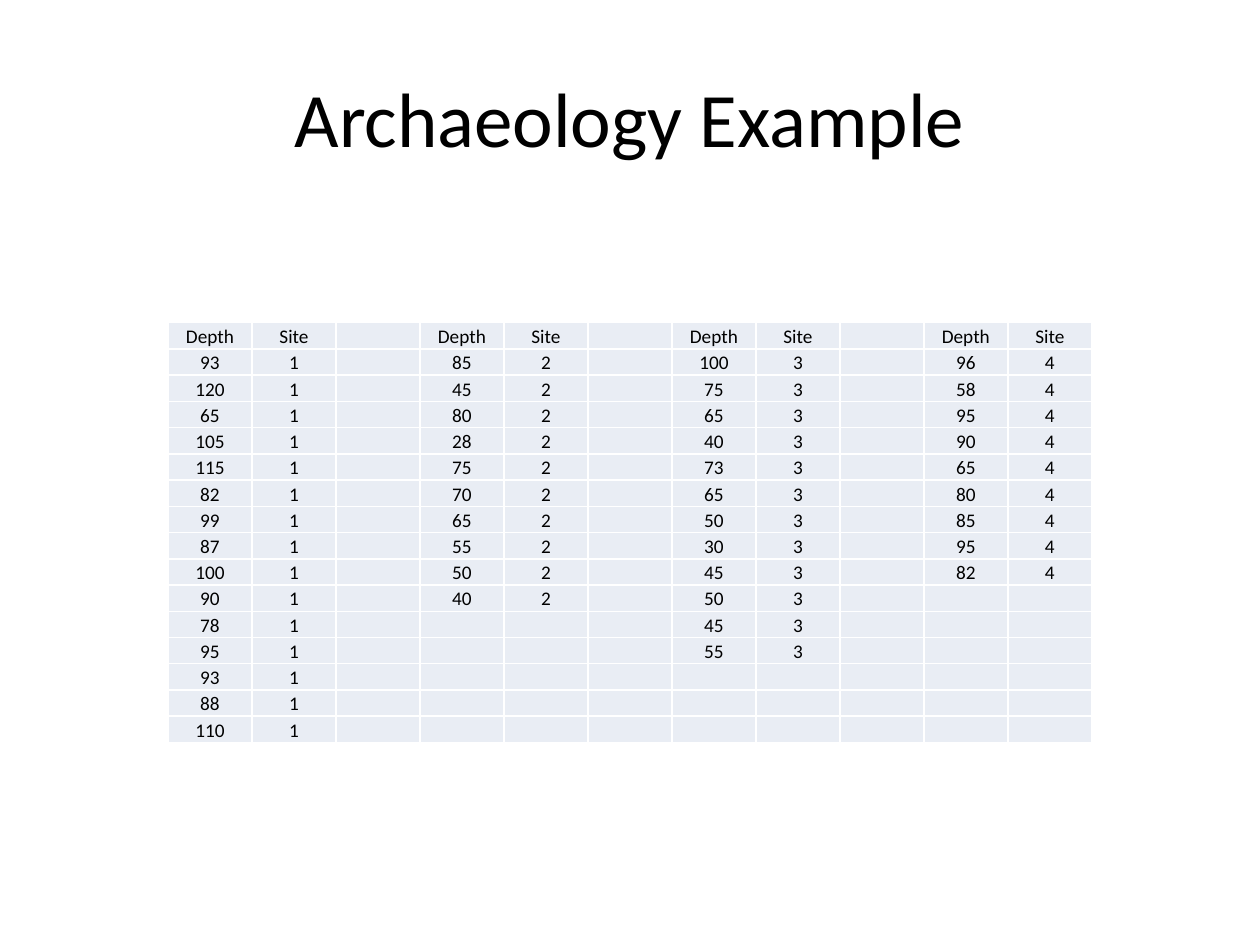
import dataclasses
import itertools

import lxml.etree
import pptx
import pptx.dml.color
import pptx.enum.text
import pptx.oxml.ns
import pptx.util

ANCHOR = pptx.enum.text.MSO_ANCHOR
DEPTHS = {
    1: [93, 120, 65, 105, 115, 82, 99, 87, 100, 90, 78, 95, 93, 88, 110],
    2: [85, 45, 80, 28, 75, 70, 65, 55, 50, 40],
    3: [100, 75, 65, 40, 73, 65, 50, 30, 45, 50, 45, 55],
    4: [96, 58, 95, 90, 65, 80, 85, 95, 82],
}


@dataclasses.dataclass(frozen=True)
class Theme:
    font: str = "Calibri"
    ink: str = "000000"
    cell: str = "E9EDF4"
    rule: str = "FFFFFF"
    title_size: int = 44
    cell_size: int = 11
    rule_width: int = 1


def rgb(value):
    return pptx.dml.color.RGBColor.from_string(value)


def add_element(parent, tag, **attributes):
    return lxml.etree.SubElement(parent, pptx.oxml.ns.qn(tag), **attributes)


def write_text(tf, text, *, size, font, color):
    p = tf.paragraphs[0]
    p.alignment = pptx.enum.text.PP_ALIGN.CENTER
    if not text:
        add_element(p._p, "a:endParaRPr", sz=str(size * 100))
        return
    r = p.add_run()
    r.text = text
    r.font.size = pptx.util.Pt(size)
    r.font.name = font
    r.font.color.rgb = rgb(color)


class SlideBuilder:
    """Draws styled elements on one slide, placed on a grid of columns and rows."""

    def __init__(self, prs, theme, columns, rows):
        self.s = prs.slides.add_slide(prs.slide_layouts[6])
        self.theme = theme
        self.column = prs.slide_width / columns
        self.row = prs.slide_height / rows

    def box(self, left, top, width, height):
        return (round(left * self.column), round(top * self.row),
                round(width * self.column), round(height * self.row))

    def title(self, text, *place):
        sp = self.s.shapes.add_textbox(*self.box(*place))
        tf = sp.text_frame
        tf.word_wrap = True
        tf.vertical_anchor = ANCHOR.MIDDLE
        write_text(tf, text, size=self.theme.title_size,
                   font=self.theme.font, color=self.theme.ink)

    def table(self, data, left, top):
        row_count, column_count = len(data), len(data[0])
        place = self.box(left, top, column_count, row_count)
        table = self.s.shapes.add_table(row_count, column_count, *place).table
        table.first_row = table.horz_banding = False
        for column in table.columns:
            column.width = round(self.column)
        for row, values in zip(table.rows, data):
            row.height = round(self.row)
            for cell, text in zip(row.cells, values):
                self.cell(cell, text)

    def cell(self, cell, text):
        theme = self.theme
        cell.margin_left = cell.margin_right = cell.margin_top = pptx.util.Inches(0.01)
        cell.margin_bottom = 0
        cell.vertical_anchor = ANCHOR.BOTTOM
        write_text(cell.text_frame, text, size=theme.cell_size,
                   font=theme.font, color=theme.ink)
        width = str(pptx.util.Pt(theme.rule_width))
        for side in ("L", "R", "T", "B"):
            line = add_element(cell._tc.tcPr, f"a:ln{side}", w=width)
            add_element(add_element(line, "a:solidFill"), "a:srgbClr", val=theme.rule)
        cell.fill.solid()
        cell.fill.fore_color.rgb = rgb(theme.cell)


def depth_rows(depths):
    columns = []
    for site, values in depths.items():
        if columns:
            columns.append([""])
        columns.append(["Depth", *map(str, values)])
        columns.append(["Site", *[str(site)] * len(values)])
    return list(itertools.zip_longest(*columns, fillvalue=""))


def main():
    prs = pptx.Presentation()
    prs.slide_width = pptx.util.Inches(10)
    prs.slide_height = pptx.util.Inches(7.5)
    slide = SlideBuilder(prs, Theme(), columns=15, rows=36)
    slide.title("Archaeology Example", 0.75, 1.44, 13.5, 6)
    slide.table(depth_rows(DEPTHS), 2, 12.29)
    prs.save("out.pptx")


if __name__ == "__main__":
    main()
